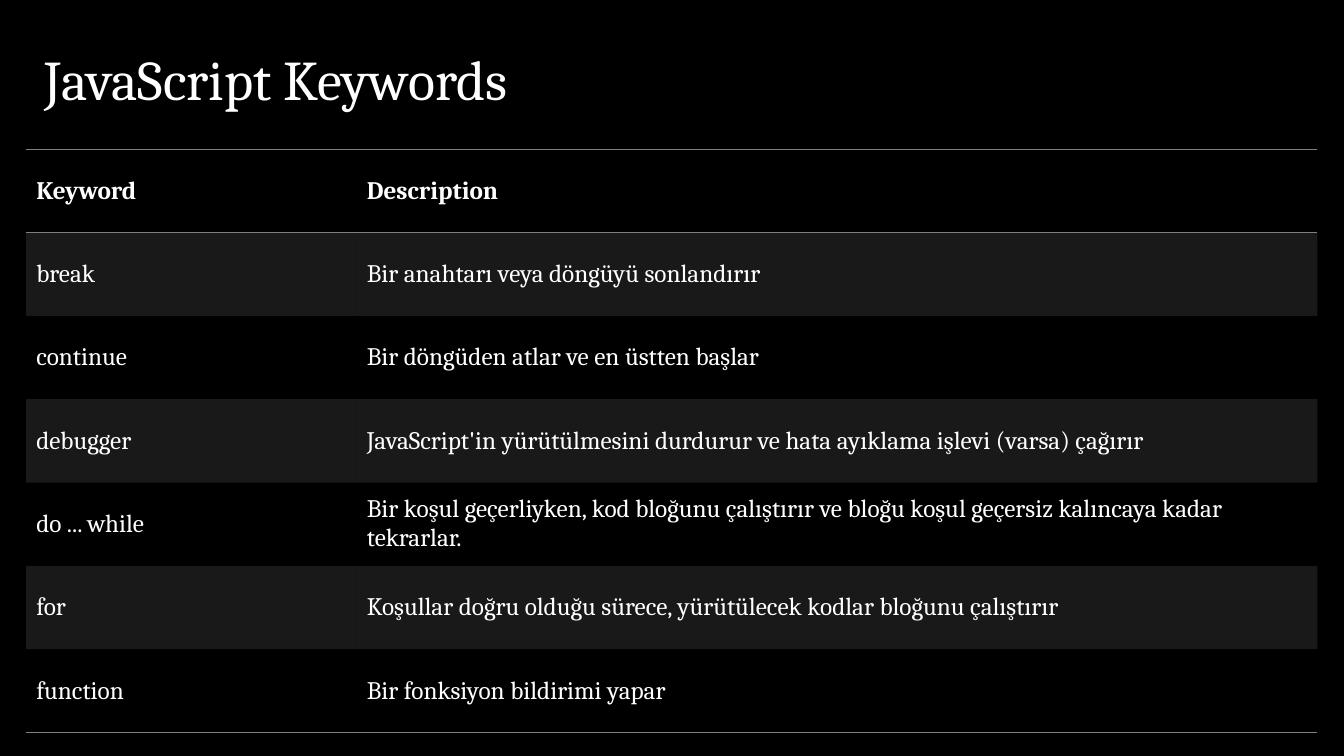
from lxml import etree
from pptx import Presentation
from pptx.dml.color import RGBColor
from pptx.enum.text import MSO_ANCHOR, MSO_AUTO_SIZE, PP_ALIGN
from pptx.oxml.ns import qn
from pptx.util import Cm, Pt

LEFT = PP_ALIGN.LEFT
MIDDLE, BOTTOM = MSO_ANCHOR.MIDDLE, MSO_ANCHOR.BOTTOM
NO_AUTOFIT = MSO_AUTO_SIZE.NONE
TITLE_ONLY = 5
PLAIN_TABLE_STYLE = "{2D5ABB26-0587-4C30-8999-92F81FD0307C}"
COLORS = {"background": "000000", "text": "FFFFFF", "grey": "7F7F7F"}

KEYWORDS = [
    ("Keyword", "Description"),
    ("break", "Bir anahtarı veya döngüyü sonlandırır"),
    ("continue", "Bir döngüden atlar ve en üstten başlar"),
    ("debugger", "JavaScript'in yürütülmesini durdurur ve hata ayıklama işlevi (varsa) çağırır"),
    ("do ... while", "Bir koşul geçerliyken, kod bloğunu çalıştırır ve bloğu koşul "
                     "geçersiz kalıncaya kadar tekrarlar."),
    ("for", "Koşullar doğru olduğu sürece, yürütülecek kodlar bloğunu çalıştırır"),
    ("function", "Bir fonksiyon bildirimi yapar"),
]


class SlideBuilder:
    """Holds the style and the current slide."""

    font_name = "Cambria"

    def __init__(self, presentation):
        self.slide = presentation.slides.add_slide(presentation.slide_layouts[TITLE_ONLY])
        background = self.slide.background.fill
        background.solid()
        background.fore_color.rgb = RGBColor.from_string(COLORS["background"])

    def add_text(self, paragraph, text, size, bold=False):
        run = paragraph.add_run()
        run.text = text
        values = {"name": self.font_name, "size": Pt(size), "bold": bold}
        for name, value in values.items():
            setattr(run.font, name, value)
        run.font.color.rgb = RGBColor.from_string(COLORS["text"])

    def title(self, text, left, top, width, height):
        shape = self.slide.shapes.title
        place = {"left": left, "top": top, "width": width, "height": height}
        for name, value in place.items():
            setattr(shape, name, Cm(value))
        frame = shape.text_frame
        layout = {"vertical_anchor": BOTTOM, "word_wrap": True, "auto_size": NO_AUTOFIT}
        for name, value in layout.items():
            setattr(frame, name, value)
        paragraph = frame.paragraphs[0]
        paragraph.alignment = LEFT
        paragraph.line_spacing = 0.8
        self.add_text(paragraph, text, 40)

    def band(self, cell):
        cell.fill.solid()
        cell.fill.fore_color.rgb = RGBColor.from_string(COLORS["grey"])
        color = cell._tc.tcPr.find(".//" + qn("a:srgbClr"))
        etree.SubElement(color, qn("a:alpha"), val="20000")

    def borders(self, cell, sides):
        properties = cell._tc.get_or_add_tcPr()
        for position, side in enumerate(sides):
            line = etree.Element(qn("a:ln" + side), w=str(Pt(1)))
            fill = etree.SubElement(line, qn("a:solidFill"))
            etree.SubElement(fill, qn("a:srgbClr"), val=COLORS["grey"])
            properties.insert(position, line)

    def table(self, rows, left, top, column_widths, row_height):
        frame = self.slide.shapes.add_table(
            len(rows), len(column_widths), Cm(left), Cm(top),
            Cm(sum(column_widths)), Cm(row_height * len(rows)))
        table = frame.table
        table._tbl.tblPr.find(qn("a:tableStyleId")).text = PLAIN_TABLE_STYLE
        for column, width in zip(table.columns, column_widths):
            column.width = Cm(width)
        # Rules above and below the header and under the last row
        sides = {0: "TB", len(rows) - 1: "B"}
        for row_index, texts in enumerate(rows):
            table.rows[row_index].height = Cm(row_height)
            for column_index, text in enumerate(texts):
                cell = table.cell(row_index, column_index)
                cell.vertical_anchor = MIDDLE
                self.add_text(cell.text_frame.paragraphs[0], text, 18, bold=row_index == 0)
                if row_index % 2:
                    self.band(cell)
                self.borders(cell, sides.get(row_index, ""))


def main():
    presentation = Presentation()
    presentation.slide_width = Cm(33.87)
    presentation.slide_height = Cm(19.05)
    builder = SlideBuilder(presentation)

    # Heading
    builder.title("JavaScript Keywords", 0.86, 0.99, 26.67, 1.93)

    # Keyword table
    builder.table(KEYWORDS, 0.66, 3.76, (8.33, 24.21), 2.1)

    presentation.save("out.pptx")


if __name__ == "__main__":
    main()
